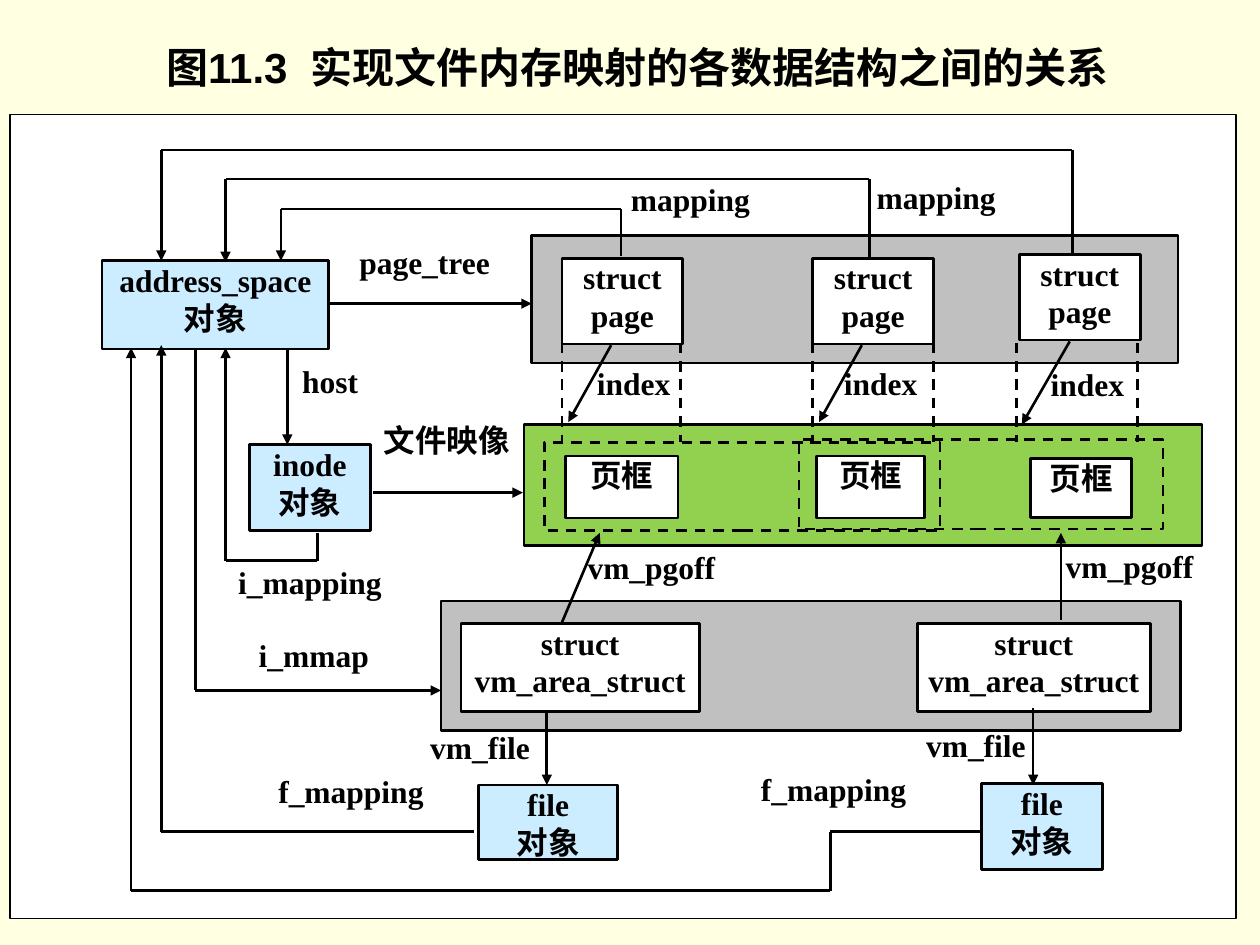
from itertools import pairwise

from lxml import etree
from pptx import Presentation
from pptx.dml.color import RGBColor
from pptx.enum.dml import MSO_LINE
from pptx.enum.shapes import MSO_CONNECTOR, MSO_SHAPE
from pptx.enum.text import MSO_ANCHOR, PP_ALIGN
from pptx.oxml.ns import qn
from pptx.util import Inches, Pt

BLACK, WHITE, BLUE = "000000", "FFFFFF", "CCECFF"
GRAY, GREEN, CREAM = "C0C0C0", "92D050", "FFFFE1"

PANELS = [
    (0.08, 0.91, 9.73, 6.38, WHITE, 0.75),
    (4.22, 1.87, 5.13, 1.01, GRAY, 1.5),
    (4.16, 3.37, 5.38, 0.96, GREEN, 1.5),
    (3.5, 4.77, 5.87, 1.03, GRAY, 1.5),
]
BOXES = [
    (0.81, 2.07, 1.8, 0.7, BLUE, "address_space\n对象"),
    (1.98, 3.53, 0.96, 0.68, BLUE, "inode\n对象"),
    (3.8, 6.23, 1.1, 0.59, BLUE, "file\n对象"),
    (7.79, 6.22, 0.96, 0.68, BLUE, "file\n对象"),
    (4.46, 2.05, 0.96, 0.68, WHITE, "struct\npage"),
    (6.45, 2.05, 0.96, 0.68, WHITE, "struct\npage"),
    (8.09, 2.02, 0.96, 0.68, WHITE, "struct\npage"),
    (4.49, 3.62, 0.89, 0.49, WHITE, "页框"),
    (6.48, 3.62, 0.86, 0.49, WHITE, "页框"),
    (8.18, 3.64, 0.8, 0.47, WHITE, "页框"),
    (3.66, 4.95, 1.89, 0.7, WHITE, "struct\nvm_area_struct"),
    (7.28, 4.95, 1.85, 0.7, WHITE, "struct\nvm_area_struct"),
]
MAPPED_REGIONS = [(4.32, 3.51, 3.14, 0.7), (6.34, 3.49, 2.89, 0.71)]
PAGE_EDGES = [4.46, 5.4, 6.45, 7.41, 8.07, 9.03]
LABELS = [
    (4.84, 1.43, 1.28, "mapping"),
    (6.73, 1.41, 1.4, "mapping"),
    (2.8, 1.93, 1.14, "page_tree"),
    (2.22, 2.87, 0.8, "host"),
    (4.63, 2.89, 0.8, "index"),
    (6.59, 2.89, 0.8, "index"),
    (8.23, 2.9, 0.8, "index"),
    (3.03, 3.34, 1.03, "文件映像"),
    (1.82, 4.47, 1.28, "i_mapping"),
    (4.49, 4.35, 1.36, "vm_pgoff"),
    (8.39, 4.34, 1.15, "vm_pgoff"),
    (1.93, 5.05, 1.12, "i_mmap"),
    (3.18, 5.78, 1.26, "vm_file"),
    (7.32, 5.76, 0.85, "vm_file"),
    (1.94, 6.13, 1.69, "f_mapping"),
    (5.77, 6.11, 1.69, "f_mapping"),
]
ARROWS = [
    # mapping: pages to address_space
    [(4.93, 2.03), (4.93, 1.66), (2.23, 1.66), (2.23, 2.07)],
    [(6.9, 2.05), (6.9, 1.42), (1.79, 1.42), (1.79, 2.08)],
    [(8.51, 2.03), (8.51, 1.19), (1.28, 1.19), (1.28, 2.07)],
    # page_tree, host, file image
    [(2.61, 2.41), (4.22, 2.41)],
    [(2.28, 2.78), (2.28, 3.53)],
    [(2.96, 3.91), (4.15, 3.91)],
    # i_mapping, i_mmap
    [(2.52, 4.23), (2.52, 4.45), (1.79, 4.45), (1.79, 2.76)],
    [(1.55, 2.78), (1.55, 5.48), (3.5, 5.48)],
    # index
    [(4.85, 2.74), (4.51, 3.35)],
    [(6.84, 2.74), (6.5, 3.35)],
    [(8.49, 2.71), (8.11, 3.37)],
    # vm_pgoff, vm_file
    [(4.46, 4.94), (4.76, 4.23)],
    [(8.42, 4.92), (8.42, 4.23)],
    [(4.34, 5.64), (4.34, 6.23)],
    [(8.2, 5.62), (8.2, 6.23)],
    # f_mapping: files to address_space
    [(3.76, 6.6), (1.28, 6.6), (1.28, 2.74)],
    [(7.8, 6.6), (6.59, 6.6), (6.59, 7.07), (1.04, 7.07), (1.04, 2.76)],
]


def rgb(value):
    return RGBColor.from_string(value)


def set_line(line, width=1.5, dashed=False):
    line.color.rgb = rgb(BLACK)
    line.width = Pt(width)
    if dashed:
        line.dash_style = MSO_LINE.DASH


def write(shape, text):
    """Put centred bold lines at the top of a shape without insets."""
    tf = shape.text_frame
    tf.word_wrap = True
    tf.vertical_anchor = MSO_ANCHOR.TOP
    tf.margin_left = tf.margin_right = tf.margin_top = tf.margin_bottom = 0
    tf.text = text
    for p in tf.paragraphs:
        p.alignment = PP_ALIGN.CENTER
        set_font(p, "Times New Roman", 18)


def set_font(p, name, size):
    p.font.name = name
    p.font.size = Pt(size)
    p.font.bold = True
    p.font.color.rgb = rgb(BLACK)


def add_title(s, text):
    box = s.shapes.add_textbox(Inches(1.22), Inches(0.28), Inches(8.19), Inches(0.5))
    tf = box.text_frame
    tf.word_wrap = True
    p = tf.paragraphs[0]
    p.text = text
    p.space_before = Pt(15)
    set_font(p, "Arial", 24)


def add_rect(s, x, y, w, h, fill=None, width=1.5, dashed=False):
    sp = s.shapes.add_shape(MSO_SHAPE.RECTANGLE, Inches(x), Inches(y), Inches(w), Inches(h))
    sp.shadow.inherit = False
    if fill:
        sp.fill.solid()
        sp.fill.fore_color.rgb = rgb(fill)
    else:
        sp.fill.background()
    set_line(sp.line, width, dashed)
    return sp


def add_label(s, x, y, w, text):
    write(s.shapes.add_textbox(Inches(x), Inches(y), Inches(w), Inches(0.45)), text)


def add_line(s, start, end, dashed=False, arrow=False):
    points = [Inches(v) for v in (*start, *end)]
    c = s.shapes.add_connector(MSO_CONNECTOR.STRAIGHT, *points)
    set_line(c.line, dashed=dashed)
    if arrow:
        etree.SubElement(c.line._get_or_add_ln(), qn("a:tailEnd"), type="triangle")
    etree.SubElement(c._element.spPr, qn("a:effectLst"))


def add_arrow(s, points):
    """Join the points with lines; the last one carries the arrowhead."""
    for start, end in pairwise(points):
        add_line(s, start, end, arrow=end == points[-1])


def main():
    prs = Presentation()
    prs.slide_width, prs.slide_height = Inches(10), Inches(7.5)
    s = prs.slides.add_slide(prs.slide_layouts[6])
    s.background.fill.solid()
    s.background.fill.fore_color.rgb = rgb(CREAM)

    add_title(s, "图11.3  实现文件内存映射的各数据结构之间的关系")
    for panel in PANELS:
        add_rect(s, *panel)
    for *place, fill, text in BOXES:
        write(add_rect(s, *place, fill), text)
    for region in MAPPED_REGIONS:
        add_rect(s, *region, dashed=True)
    for x in PAGE_EDGES:
        add_line(s, (x, 2.72), (x, 3.51), dashed=True)
    for points in ARROWS:
        add_arrow(s, points)
    for label in LABELS:
        add_label(s, *label)

    prs.save("out.pptx")


if __name__ == "__main__":
    main()
